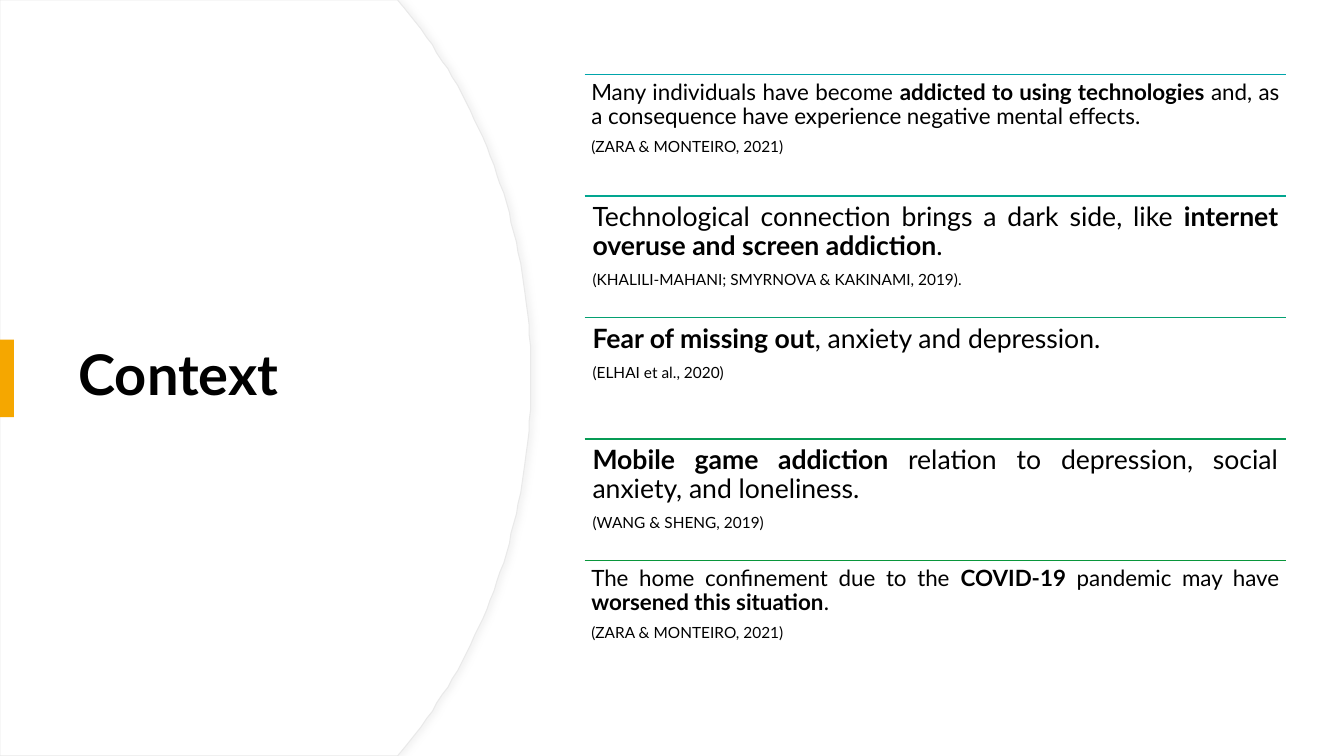
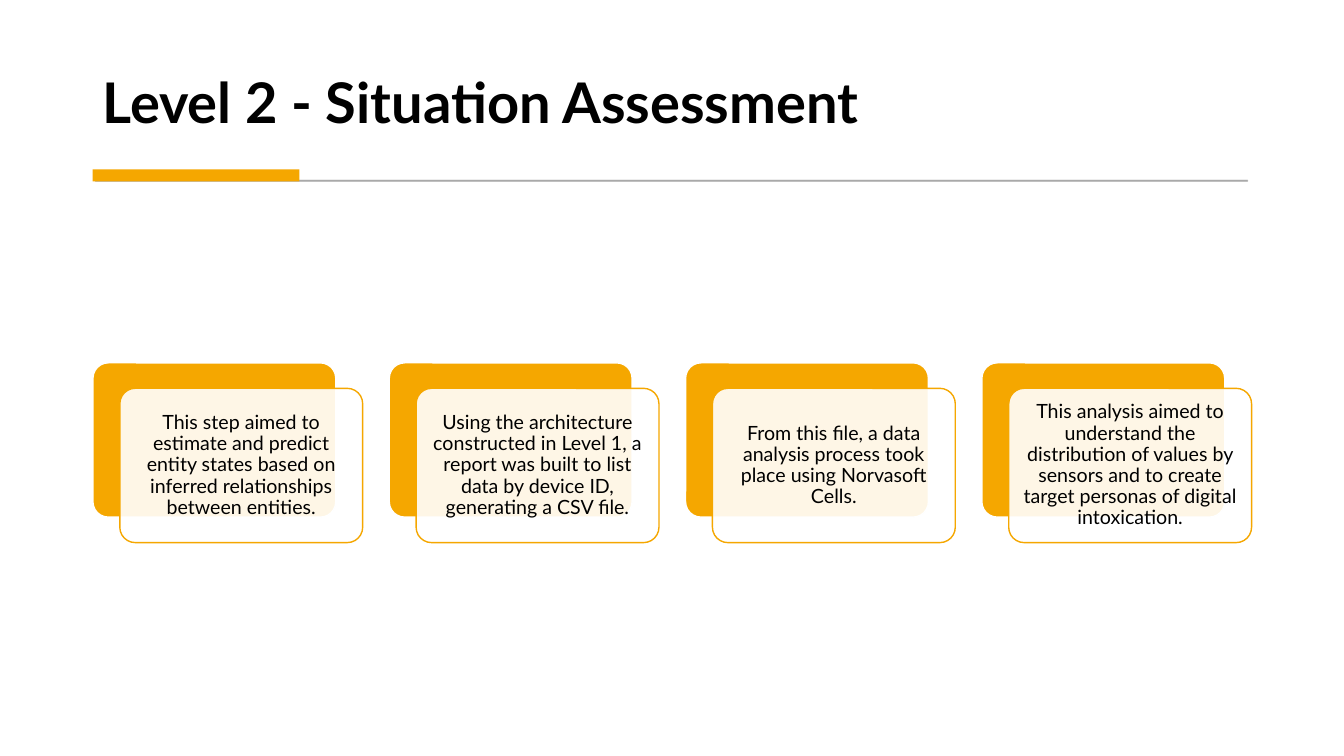
from lxml.etree import SubElement
from pptx import Presentation
from pptx.dml.color import RGBColor
from pptx.enum.shapes import MSO_CONNECTOR, MSO_SHAPE
from pptx.enum.text import MSO_ANCHOR, PP_ALIGN
from pptx.oxml.ns import qn
from pptx.util import Pt

FONT = "Lato"
BLACK = RGBColor(0x00, 0x00, 0x00)
WHITE = RGBColor(0xFF, 0xFF, 0xFF)
AMBER = RGBColor(0xF5, 0xA7, 0x00)
GREY = RGBColor(0x59, 0x59, 0x59)
PALE = RGBColor(0xE9, 0xE9, 0xE9)
SHADOW = RGBColor(0xD9, 0xD9, 0xD9)
RULE_COLORS = [
    RGBColor(0x00, 0xA5, 0xAB),
    RGBColor(0x02, 0xA6, 0x90),
    RGBColor(0x05, 0xA0, 0x71),
    RGBColor(0x07, 0x9B, 0x55),
    RGBColor(0x09, 0x96, 0x3B),
]

SLIDE_W, SLIDE_H = 960, 540
LINE_SPACING = 0.9
CITATION_SIZE = 11
CARD_SIZE = 14

# Each finding: text size, (text, bold) runs, citation
FINDINGS = [
    (16, [("Many individuals have become ", False),
          ("addicted to using technologies ", True),
          ("and, as a consequence have experience negative mental effects. ", False)],
     "(ZARA & MONTEIRO, 2021)"),
    (19, [("Technological connection brings a dark side, like ", False),
          ("internet overuse and screen addiction", True),
          (". ", False)],
     "(KHALILI-MAHANI; SMYRNOVA & KAKINAMI, 2019)."),
    (19, [("Fear of missing out", True),
          (", anxiety and depression.", False)],
     "(ELHAI et al., 2020)"),
    (19, [("Mobile game addiction ", True),
          ("relation to depression, social anxiety, and loneliness.", False)],
     "(WANG & SHENG, 2019)"),
    (16, [("The home confinement due to the ", False),
          ("COVID-19", True),
          (" pandemic may have ", False),
          ("worsened this situation", True),
          (".", False)],
     "(ZARA & MONTEIRO, 2021)"),
]

STEPS = [
    "This step aimed to estimate and predict entity states based on inferred "
    "relationships between entities.",
    "Using the architecture constructed in Level 1, a report was built to list "
    "data by device ID, generating a CSV file.",
    "From this file, a data analysis process took place using Norvasoft Cells.",
    "This analysis aimed to understand the distribution of values by sensors "
    "and to create target personas of digital intoxication.",
]


def set_alpha(color_parent, percent):
    for clr in color_parent.iter(qn("a:srgbClr")):
        SubElement(clr, qn("a:alpha"), val=str(percent * 1000))


def paint(sp, fill, line=None, width=1):
    sp.shadow.inherit = False
    sp.fill.solid()
    sp.fill.fore_color.rgb = fill
    if line is None:
        sp.line.fill.background()
    else:
        sp.line.color.rgb = line
        sp.line.width = Pt(width)


def add_box(slide, kind, box, fill, line=None, width=1):
    sp = slide.shapes.add_shape(kind, *map(Pt, box))
    paint(sp, fill, line, width)
    return sp


def prepare_frame(sp, anchor, inset_x, inset_y):
    tf = sp.text_frame
    tf.word_wrap = True
    tf.vertical_anchor = anchor
    tf.margin_left = tf.margin_right = Pt(inset_x)
    tf.margin_top = tf.margin_bottom = Pt(inset_y)
    return tf


def write(p, runs, size, align):
    """Fill a paragraph with (text, bold) runs."""
    p.alignment = align
    p.line_spacing = LINE_SPACING
    for text, bold in runs:
        r = p.add_run()
        r.text = text
        r.font.name = FONT
        r.font.size = Pt(size)
        r.font.bold = bold
        r.font.color.rgb = BLACK


def add_title(slide, text, box, anchor):
    sp = slide.shapes.add_textbox(*map(Pt, box))
    tf = prepare_frame(sp, anchor, 7.2, 3.6)
    write(tf.paragraphs[0], [(text, True)], 40, PP_ALIGN.LEFT)


def add_accent(slide, box):
    add_box(slide, MSO_SHAPE.RECTANGLE, box, AMBER)


def bezier(p0, p1, p2, p3, steps=40):
    for i in range(steps + 1):
        t = i / steps
        u = 1 - t
        yield tuple(u**3 * a + 3 * u * u * t * b + 3 * u * t * t * c + t**3 * d
                    for a, b, c, d in zip(p0, p1, p2, p3))


def add_curved_panel(slide, width, height):
    """White panel from the left edge, with a bulging right side."""
    upper = list(bezier((width - 90.7, 5.8), (width - 34.6, 73.4),
                        (width, 167), (width, height / 2)))
    upper.insert(0, (width - 95.8, 0))
    lower = [(x, height - y) for x, y in reversed(upper[:-1])]
    fb = slide.shapes.build_freeform(0, 0, scale=Pt(1))
    fb.add_line_segments(upper + lower + [(0, height)], close=True)
    sp = fb.convert_to_shape()
    paint(sp, WHITE, PALE, 0.75)
    effects = sp._element.spPr.find(qn("a:effectLst"))
    shadow = SubElement(effects, qn("a:outerShdw"), blurRad=str(Pt(4)),
                        dist=str(Pt(3)), dir="0", algn="l", rotWithShape="0")
    SubElement(shadow, qn("a:srgbClr"), val=str(SHADOW))
    set_alpha(shadow, 30)


def add_finding(slide, box, color, size, runs, citation):
    """Coloured rule with a statement and its citation below."""
    x, y, w, _ = box
    rule = slide.shapes.add_connector(
        MSO_CONNECTOR.STRAIGHT, Pt(x), Pt(y), Pt(x + w), Pt(y))
    rule.line.color.rgb = color
    rule.line.width = Pt(1)
    SubElement(rule._element.spPr, qn("a:effectLst"))

    sp = slide.shapes.add_textbox(*map(Pt, box))
    inset = 0.3 * size
    tf = prepare_frame(sp, MSO_ANCHOR.TOP, inset, inset)
    p = tf.paragraphs[0]
    write(p, runs, size, PP_ALIGN.JUSTIFY)
    p.space_after = Pt(round(0.42 * size, 1))
    write(tf.add_paragraph(), [(citation, False)], CITATION_SIZE, PP_ALIGN.JUSTIFY)


def add_findings(slide, box):
    x, y, w, h = box
    row_h = h / len(FINDINGS)
    for i, (color, finding) in enumerate(zip(RULE_COLORS, FINDINGS)):
        add_finding(slide, (x, y + i * row_h, w, row_h), color, *finding)


def add_header_rule(slide, box):
    """Thin grey line with a thick accent at its left end."""
    x, y, w, h = box
    line = add_box(slide, MSO_SHAPE.RECTANGLE,
                   (x + 2, y + h - 0.9, w - 2, 0.9), GREY, GREY, 0.75)
    set_alpha(line._element.spPr, 30)
    add_accent(slide, (x, y, 147.6, h))


def add_step_card(slide, box, text):
    """Amber card with a translucent text card shifted over it."""
    x, y, w, h = box
    dx, dy = 19.2, 18.2
    size = (w - dx, h - dy)
    back = add_box(slide, MSO_SHAPE.ROUNDED_RECTANGLE, (x, y, *size), AMBER, WHITE)
    front = add_box(slide, MSO_SHAPE.ROUNDED_RECTANGLE,
                    (x + dx, y + dy, *size), WHITE, AMBER)
    for sp in (back, front):
        sp.adjustments[0] = 0.1
    set_alpha(front._element.spPr.find(qn("a:solidFill")), 90)
    tf = prepare_frame(front, MSO_ANCHOR.MIDDLE, 0.3 * CARD_SIZE, 0.3 * CARD_SIZE)
    write(tf.paragraphs[0], [(text, False)], CARD_SIZE, PP_ALIGN.CENTER)


def add_step_cards(slide, box, gap=19):
    x, y, w, h = box
    card_w = (w - gap * (len(STEPS) - 1)) / len(STEPS)
    for i, text in enumerate(STEPS):
        add_step_card(slide, (x + i * (card_w + gap), y, card_w, h), text)


def build_context(slide):
    add_curved_panel(slide, 379.4, SLIDE_H)
    add_title(slide, "Context", (49, 91.4, 283.7, 356.4), MSO_ANCHOR.MIDDLE)
    add_accent(slide, (0, 242.6, 10, 55.4))
    add_findings(slide, (417.6, 53.2, 501.1, 434))


def build_situation(slide):
    add_title(slide, "Level 2 - Situation Assessment",
              (66.2, 20.2, 827.3, 79.9), MSO_ANCHOR.BOTTOM)
    add_header_rule(slide, (66.2, 121, 825, 8.6))
    add_step_cards(slide, (66.4, 259.2, 827.6, 128.4))


def main():
    prs = Presentation()
    prs.slide_width, prs.slide_height = Pt(SLIDE_W), Pt(SLIDE_H)
    for build in (build_context, build_situation):
        slide = prs.slides.add_slide(prs.slide_layouts[6])
        slide.background.fill.solid()
        slide.background.fill.fore_color.rgb = WHITE
        build(slide)
    prs.save("out.pptx")


if __name__ == "__main__":
    main()
